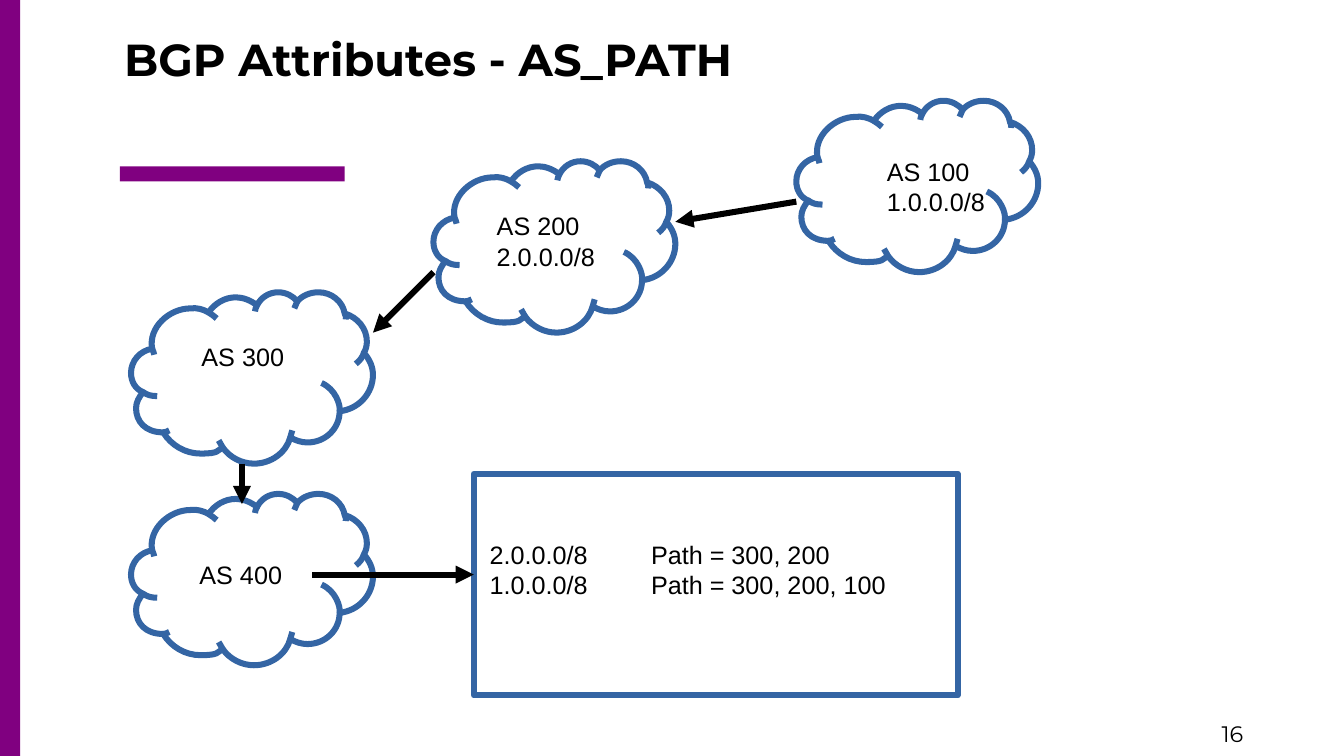
"""Build the slide that explains the BGP AS_PATH attribute with a chain of networks."""
from dataclasses import dataclass

import lxml.etree
import pptx
import pptx.dml.color
import pptx.enum.shapes
import pptx.enum.text
import pptx.oxml.ns
import pptx.util


@dataclass(frozen=True)
class Theme:
    """Colours, fonts, type sizes and the grid module of the slide."""
    ink: str = "000000"
    accent: str = "800080"
    outline: str = "3465A4"
    heading_font: str = "Montserrat"
    body_font: str = "Arial"
    title_size: int = 32
    body_size: int = 18
    number_size: int = 16
    stroke: float = 4.31
    module: float = 0.1


THEME = Theme()
COLUMNS, ROWS = 133.33, 75
CLOUD_UNITS_PER_MODULE = 10

CLOUD_RIM = [
    (21, 56),
    (17, 35), (38, 16), (59, 16), (65, 15), (72, 17), (77, 20),
    (83, 11), (93, 5), (104, 5), (111, 5), (119, 8), (125, 13),
    (129, 5), (137, 0), (146, 0), (154, 0), (161, 4), (165, 9),
    (170, 3), (178, 0), (186, 0), (199, 0), (210, 9), (212, 21),
    (225, 25), (234, 36), (234, 49), (234, 53), (233, 57), (231, 60),
    (237, 67), (240, 74), (240, 82), (240, 100), (226, 116), (207, 118),
    (207, 135), (193, 149), (175, 149), (169, 149), (163, 147), (158, 144),
    (154, 159), (139, 170), (122, 170), (110, 170), (98, 164), (91, 154),
    (85, 157), (88, 160), (69, 160), (54, 160), (40, 152), (32, 139),
    (14, 139), (5, 128), (5, 115), (5, 109), (8, 104), (12, 99),
    (4, 96), (0, 88), (0, 80), (0, 68), (9, 58), (21, 56),
]
CLOUD_CURLS = [
    [(21, 56), (22, 58), (23, 61), (23, 62)],
    [(77, 20), (80, 22), (83, 24), (85, 26)],
    [(125, 13), (124, 15), (123, 17), (123, 19)],
    [(165, 9), (164, 11), (163, 14), (162, 16)],
    [(212, 21), (213, 23), (214, 26), (213, 27)],
    [(231, 60), (230, 64), (227, 68), (223, 71)],
    [(207, 118), (208, 112), (203, 96), (189, 90)],
    [(158, 144), (159, 142), (159, 139), (160, 137)],
    [(91, 154), (90, 152), (88, 149), (87, 147)],
    [(32, 139), (34, 139), (36, 138), (38, 137)],
    [(12, 99), (16, 102), (20, 103), (26, 103)],
]

CLOUDS = [(13, 29), (43, 16), (79, 10), (13, 49)]
ARROWS = [
    ((79, 20), (67, 22)),
    ((43, 27), (37, 33)),
    ((24, 46), (24, 50)),
    ((31, 57), (47, 57)),
]
LABELS = [
    ((87, 15, 11.7, 6.6), ["AS 100", "1.0.0.0/8"]),
    ((48.3, 20.4, 11.7, 6.6), ["AS 200", "2.0.0.0/8"]),
    ((19, 33.4, 10.2, 6.6), ["AS 300"]),
    ((18.8, 55, 10.2, 6.6), ["AS 400"]),
]
ROUTES = ["2.0.0.0/8\tPath = 300, 200", "1.0.0.0/8\tPath = 300, 200, 100"]


def grid(*cells):
    """Turn counts of grid modules into lengths."""
    return [pptx.util.Inches(cell * THEME.module) for cell in cells]


def colour(value):
    """Turn a hex value into a colour."""
    return pptx.dml.color.RGBColor.from_string(value)


def write_text(frame, lines, *, size=THEME.body_size, font=THEME.body_font,
               bold=False, indent=None, tab=None):
    """Fill a text frame with one formatted paragraph per line."""
    for index, line in enumerate(lines):
        para = frame.paragraphs[0] if index == 0 else frame.add_paragraph()
        para.alignment = pptx.enum.text.PP_ALIGN.LEFT
        properties = para._p.get_or_add_pPr()
        if indent is not None:
            properties.set("marL", str(grid(indent)[0]))
            properties.set("indent", "0")
        if tab is not None:
            tabs = lxml.etree.SubElement(properties, pptx.oxml.ns.qn("a:tabLst"))
            lxml.etree.SubElement(tabs, pptx.oxml.ns.qn("a:tab"),
                                  pos=str(grid(tab)[0]), algn="l")
        span = para.add_run()
        span.text = line
        span.font.name = font
        span.font.size = pptx.util.Pt(size)
        span.font.bold = bold
        span.font.color.rgb = colour(THEME.ink)


def add_label(page, place, lines, *, wrap=False, **text_format):
    """Add a text box."""
    box = page.shapes.add_textbox(*grid(*place))
    box.text_frame.word_wrap = wrap
    write_text(box.text_frame, lines, **text_format)


def set_title(page, place, text):
    """Place and format the title placeholder."""
    title = page.shapes.title
    title.left, title.top, title.width, title.height = grid(*place)
    frame = title.text_frame
    frame.word_wrap = True
    frame.auto_size = pptx.enum.text.MSO_AUTO_SIZE.NONE
    frame.vertical_anchor = pptx.enum.text.MSO_ANCHOR.BOTTOM
    write_text(frame, [text], size=THEME.title_size, font=THEME.heading_font,
               bold=True, indent=2.4)


def add_bar(page, place):
    """Add a solid accent bar."""
    bar = page.shapes.add_shape(pptx.enum.shapes.MSO_SHAPE.RECTANGLE, *grid(*place))
    bar.shadow.inherit = False
    bar.fill.solid()
    bar.fill.fore_color.rgb = colour(THEME.accent)
    bar.line.fill.background()


def draw_outline(shape):
    """Leave a shape unfilled with a thick outline."""
    shape.shadow.inherit = False
    shape.fill.background()
    shape.line.color.rgb = colour(THEME.outline)
    shape.line.width = pptx.util.Pt(THEME.stroke)


def bend_segments(shape, chains):
    """Turn the straight segments of a freeform into cubic curves."""
    handles = [chain[first:first + 2] for chain in chains
               for first in range(1, len(chain), 3)]
    segments = list(shape._element.iter(pptx.oxml.ns.qn("a:lnTo")))
    for segment, pair in zip(segments, handles):
        segment.tag = pptx.oxml.ns.qn("a:cubicBezTo")
        for index, (x, y) in enumerate(pair):
            handle = lxml.etree.Element(pptx.oxml.ns.qn("a:pt"), x=str(x), y=str(y))
            segment.insert(index, handle)


def add_cloud(page, left, top):
    """Add a cloud with its rim and inner curls."""
    scale = pptx.util.Inches(THEME.module) / CLOUD_UNITS_PER_MODULE
    builder = page.shapes.build_freeform(*CLOUD_RIM[0], scale)
    builder.add_line_segments(CLOUD_RIM[3::3], close=True)
    for curl in CLOUD_CURLS:
        builder.move_to(*curl[0])
        builder.add_line_segments(curl[3::3], close=False)
    cloud = builder.convert_to_shape(*grid(left, top))
    bend_segments(cloud, [CLOUD_RIM, *CLOUD_CURLS])
    draw_outline(cloud)


def add_arrow(page, start, end):
    """Add a straight arrow."""
    arrow = page.shapes.add_connector(pptx.enum.shapes.MSO_CONNECTOR.STRAIGHT,
                                      *grid(*start, *end))
    arrow.line.color.rgb = colour(THEME.ink)
    arrow.line.width = pptx.util.Pt(THEME.stroke)
    lxml.etree.SubElement(arrow.line._get_or_add_ln(), pptx.oxml.ns.qn("a:tailEnd"),
                          type="triangle")
    lxml.etree.SubElement(arrow._element.spPr, pptx.oxml.ns.qn("a:effectLst"))


def main():
    """Build and save the slide."""
    deck = pptx.Presentation()
    deck.slide_width, deck.slide_height = grid(COLUMNS, ROWS)
    page = deck.slides.add_slide(deck.slide_layouts.get_by_name("Title Only"))
    add_bar(page, (11.9, 16.5, 22.3, 1.5))
    add_bar(page, (0, 0, 2, ROWS))
    add_label(page, (120.2, 71, 13, 4), ["16"], wrap=True,
              size=THEME.number_size, font=THEME.heading_font)
    set_title(page, (8.9, -6.7, 120.8, 15.7), "BGP Attributes - AS_PATH")
    for cloud in CLOUDS:
        add_cloud(page, *cloud)
    table_frame = page.shapes.add_shape(pptx.enum.shapes.MSO_SHAPE.RECTANGLE,
                                        *grid(47, 47, 48, 22))
    draw_outline(table_frame)
    for start, end in ARROWS:
        add_arrow(page, start, end)
    for place, lines in LABELS:
        add_label(page, place, lines)
    add_label(page, (47.6, 53, 41.9, 6.6), ROUTES, wrap=True, tab=16)
    deck.save("out.pptx")


if __name__ == "__main__":
    main()
